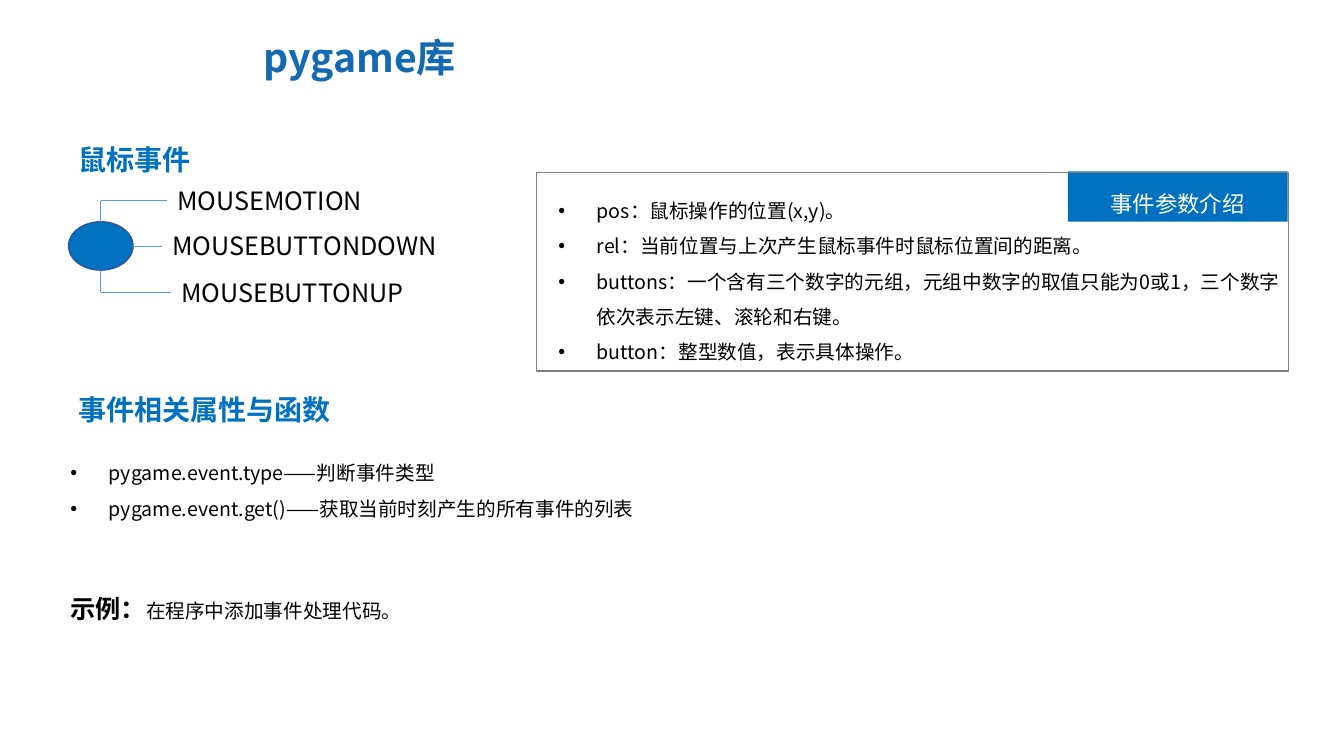
from lxml import etree
from pptx import Presentation
from pptx.dml.color import RGBColor
from pptx.enum.shapes import MSO_CONNECTOR, MSO_SHAPE
from pptx.enum.text import MSO_ANCHOR, MSO_AUTO_SIZE, PP_ALIGN
from pptx.oxml.ns import qn
from pptx.util import Inches, Pt

STRAIGHT = MSO_CONNECTOR.STRAIGHT
OVAL, RECTANGLE = MSO_SHAPE.OVAL, MSO_SHAPE.RECTANGLE
LEFT, CENTER = PP_ALIGN.LEFT, PP_ALIGN.CENTER
MIDDLE, TOP = MSO_ANCHOR.MIDDLE, MSO_ANCHOR.TOP
NO_FIT = MSO_AUTO_SIZE.NONE
LEFT_SIDE = 1

FONT = "Noto Sans CJK SC"
BLUE, TITLE_BLUE, LINK_BLUE, OVAL_EDGE = "0070C0", "1369B2", "5B9BD5", "2F5597"
BLACK, WHITE, GREY = "000000", "FFFFFF", "808080"


def color(hex_string):
    return RGBColor.from_string(hex_string)


class SlideBuilder:
    def __init__(self, page):
        self.page = page

    def style_span(self, span, size, hex_color, bold=False):
        span.font.size = Pt(size)
        span.font.bold = bold
        span.font.color.rgb = color(hex_color)
        span.font.name = FONT
        east_asian = etree.SubElement(span.font._element, qn("a:ea"))
        east_asian.set("typeface", FONT)

    def style_para(self, para, size, hex_color, bold=False, spacing=1.0, align=LEFT):
        para.line_spacing = spacing
        para.alignment = align
        for span in para.runs:
            self.style_span(span, size, hex_color, bold)

    def title(self, text, left, top, width, height):
        box = self.page.shapes.title
        box.left, box.top = Inches(left), Inches(top)
        box.width, box.height = Inches(width), Inches(height)
        frame = box.text_frame
        frame.text = text
        frame.auto_size = NO_FIT
        frame.vertical_anchor = MIDDLE
        frame.margin_left = Inches(0.19)
        self.style_para(frame.paragraphs[0], 28, TITLE_BLUE, True, 0.9)

    def text(self, text, left, top, width, height, size, hex_color=BLACK,
             bold=False, spacing=1.0):
        box = self.page.shapes.add_textbox(
            Inches(left), Inches(top), Inches(width), Inches(height))
        frame = box.text_frame
        frame.word_wrap = True
        frame.text = text
        for para in frame.paragraphs:
            self.style_para(para, size, hex_color, bold, spacing)
        return box

    def heading(self, text, top):
        self.text(text, 0.68, top, 5.19, 0.61, 20, BLUE, True, 1.5)

    def bullets(self, items, left, top, width, height):
        box = self.text("\n".join(items), left, top, width, height, 14, spacing=1.5)
        for para in box.text_frame.paragraphs:
            properties = para._p.get_or_add_pPr()
            properties.set("marL", str(Inches(0.38)))
            properties.set("indent", str(Inches(-0.38)))
            etree.SubElement(properties, qn("a:buFont")).set("typeface", "Arial")
            etree.SubElement(properties, qn("a:buChar")).set("char", "•")

    def shape(self, kind, left, top, width, height, fill=None, line=None):
        shape = self.page.shapes.add_shape(
            kind, Inches(left), Inches(top), Inches(width), Inches(height))
        shape.shadow.inherit = False
        if fill:
            shape.fill.solid()
            shape.fill.fore_color.rgb = color(fill)
        else:
            shape.fill.background()
        if line:
            shape.line.color.rgb = color(line)
            shape.line.width = Pt(1)
        else:
            shape.line.fill.background()
        return shape

    def label(self, text, left, top, width, height):
        frame = self.shape(RECTANGLE, left, top, width, height, BLUE).text_frame
        frame.word_wrap = True
        frame.vertical_anchor = TOP
        frame.text = text
        self.style_para(frame.paragraphs[0], 16, WHITE, spacing=1.5, align=CENTER)

    def link(self, start_x, start_y, end_x, end_y, target=None):
        line = self.page.shapes.add_connector(
            STRAIGHT, Inches(start_x), Inches(start_y), Inches(end_x), Inches(end_y))
        line.line.color.rgb = color(LINK_BLUE)
        line.line.width = Pt(0.5)
        etree.SubElement(line._element.spPr, qn("a:effectLst"))
        if target is not None:
            line.end_connect(target, LEFT_SIDE)


def main():
    deck = Presentation()
    deck.slide_width, deck.slide_height = Inches(13.33), Inches(7.5)
    page = deck.slides.add_slide(deck.slide_layouts[5])
    builder = SlideBuilder(page)
    builder.title("pygame库", 2.42, 0.17, 6.88, 0.85)

    # Mouse events: a hub with one branch per event
    builder.heading("鼠标事件", 1.2)
    hub_x, hub_top, hub_bottom, hub_right = 1.0, 2.2, 2.68, 1.32
    builder.shape(OVAL, 0.68, hub_top, 0.64, 0.48, BLUE, OVAL_EDGE)
    events = [
        ("MOUSEMOTION", 1.66, 1.79, 2.2, hub_x),
        ("MOUSEBUTTONDOWN", 1.61, 2.24, 3.03, hub_right),
        ("MOUSEBUTTONUP", 1.7, 2.7, 3.74, hub_x),
    ]
    for name, left, top, width, start_x in events:
        box = builder.text(name, left, top, width, 0.4, 18)
        builder.link(start_x, top + 0.2, left, top + 0.2, box)
    builder.link(hub_x, hub_top, hub_x, 1.99)
    builder.link(hub_x, hub_bottom, hub_x, 2.9)

    # Event parameters panel
    builder.bullets([
        "pos：鼠标操作的位置(x,y)。",
        "rel：当前位置与上次产生鼠标事件时鼠标位置间的距离。",
        "buttons：一个含有三个数字的元组，元组中数字的取值只能为0或1，三个数字依次表示左键、滚轮和右键。",
        "button：整型数值，表示具体操作。",
    ], 5.44, 1.81, 7.47, 1.87)
    builder.label("事件参数介绍", 10.59, 1.7, 2.18, 0.5)
    builder.shape(RECTANGLE, 5.32, 1.71, 7.46, 1.97, line=GREY)

    # Event attributes and functions
    builder.heading("事件相关属性与函数", 3.68)
    builder.bullets([
        "pygame.event.type——判断事件类型",
        "pygame.event.get()——获取当前时刻产生的所有事件的列表",
    ], 0.6, 4.41, 12.05, 0.81)

    # Example
    example = builder.text("示例：", 0.6, 5.69, 11.79, 0.5, 18, bold=True, spacing=1.5)
    span = example.text_frame.paragraphs[0].add_run()
    span.text = "在程序中添加事件处理代码。"
    builder.style_span(span, 14, BLACK)

    deck.save("out.pptx")


if __name__ == "__main__":
    main()
